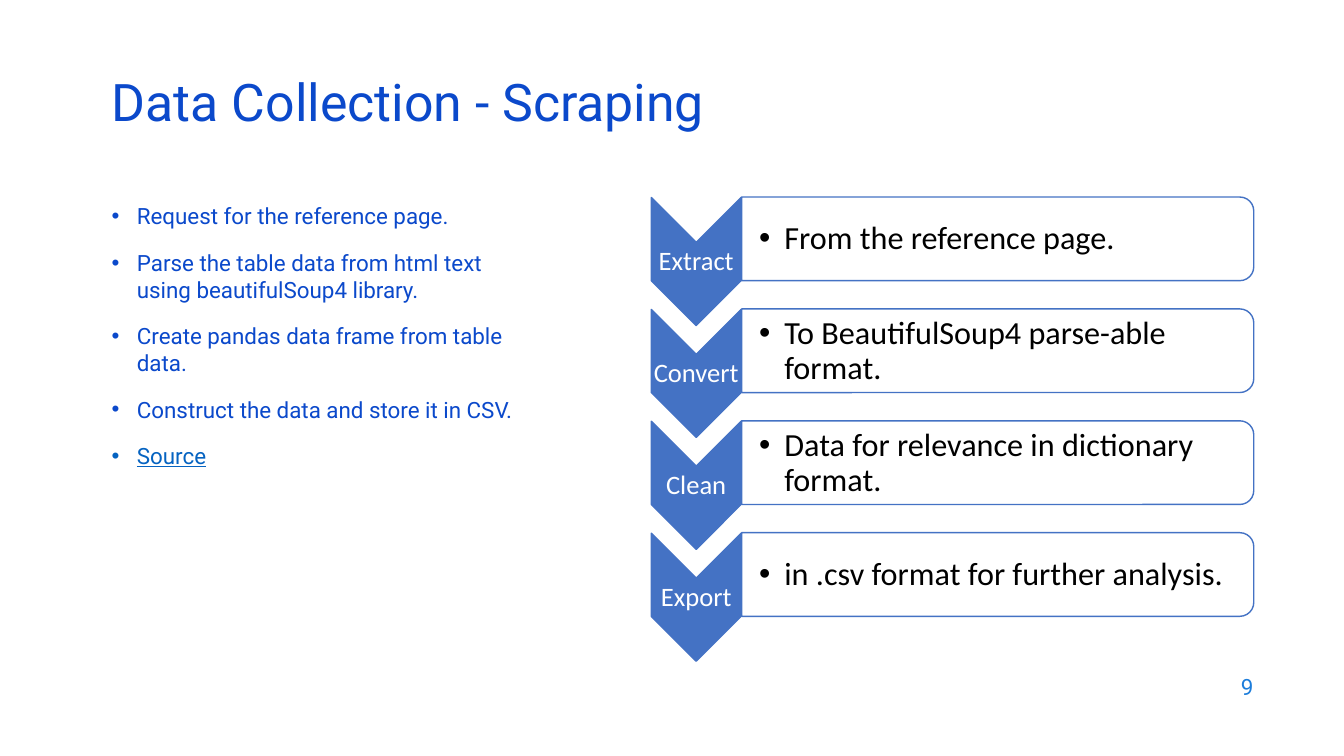
from lxml.etree import SubElement
from pptx import Presentation
from pptx.dml.color import RGBColor
from pptx.enum.shapes import MSO_SHAPE
from pptx.enum.text import MSO_ANCHOR, MSO_AUTO_SIZE, PP_ALIGN
from pptx.oxml.ns import qn
from pptx.util import Inches, Pt

TITLE_BLUE = RGBColor(0x0B, 0x49, 0xCB)
LINK_BLUE = RGBColor(0x05, 0x63, 0xC1)
NUMBER_BLUE = RGBColor(0x1C, 0x7D, 0xDB)
STEP_BLUE = RGBColor(0x44, 0x72, 0xC4)
WHITE = RGBColor(0xFF, 0xFF, 0xFF)
BLACK = RGBColor(0, 0, 0)


def format_paragraph(paragraph, font_name, size, color, bullet=False):
    if bullet:
        properties = paragraph._p.get_or_add_pPr()
        properties.set("marL", str(Inches(0.25)))
        properties.set("indent", str(-Inches(0.25)))
        SubElement(properties, qn("a:buFont"), typeface="Arial")
        SubElement(properties, qn("a:buChar"), char="•")
    for run in paragraph.runs:
        run.font.name = font_name
        run.font.size = Pt(size)
        run.font.color.rgb = color


def add_text(left, top, width, height, text, margins=(0.1, 0.05, 0.1, 0.05)):
    box = slide.shapes.add_textbox(Inches(left), Inches(top), Inches(width), Inches(height))
    frame = box.text_frame
    frame.word_wrap = True
    frame.vertical_anchor = MSO_ANCHOR.MIDDLE
    frame.margin_left, frame.margin_top, frame.margin_right, frame.margin_bottom = map(Inches, margins)
    frame.text = text
    return frame


presentation = Presentation()
presentation.slide_width = Inches(13.33)
presentation.slide_height = Inches(7.5)
slide = presentation.slides.add_slide(presentation.slide_layouts[5])

# Title
title = slide.shapes.title
title.left, title.top, title.width, title.height = map(Inches, (1.01, 0.76, 11.5, 0.6))
title.text_frame.text = "Data Collection - Scraping"
title.text_frame.auto_size = MSO_AUTO_SIZE.NONE
title.text_frame.vertical_anchor = MSO_ANCHOR.MIDDLE
title_paragraph = title.text_frame.paragraphs[0]
title_paragraph.alignment = PP_ALIGN.LEFT
title_paragraph.line_spacing = 0.8
format_paragraph(title_paragraph, "Roboto", 37, TITLE_BLUE)

# Bullet list, ending with the link-styled line
notes = [
    "Request for the reference page.",
    "Parse the table data from html text using beautifulSoup4 library.",
    "Create pandas data frame from table data.",
    "Construct the data and store it in CSV.",
    "Source",
]
bullet_frame = add_text(1.01, 1.96, 4.3, 4.72, "\n".join(notes))
bullet_frame.vertical_anchor = MSO_ANCHOR.TOP
for index, paragraph in enumerate(bullet_frame.paragraphs):
    if index > 0:
        paragraph.space_before = Pt(14)
    format_paragraph(paragraph, "Roboto", 16, TITLE_BLUE, bullet=True)
link_font = bullet_frame.paragraphs[-1].runs[0].font
link_font.color.rgb = LINK_BLUE
link_font.underline = True

# Process steps: a downward chevron and a rounded panel in each row
steps = [
    ("Extract", "From the reference page."),
    ("Convert", "To BeautifulSoup4 parse-able format."),
    ("Clean", "Data for relevance in dictionary format."),
    ("Export", "in .csv format for further analysis."),
]
STEP_PITCH = 1.11
for row, (label, description) in enumerate(steps):
    offset = row * STEP_PITCH
    for kind, left, top, width, height, fill in (
        (MSO_SHAPE.CHEVRON, 6.27, 2.15, 1.27, 0.89, STEP_BLUE),
        (MSO_SHAPE.ROUND_2_SAME_RECTANGLE, 9.48, -0.17, 0.83, 5.08, WHITE),
    ):
        shape = slide.shapes.add_shape(
            kind, Inches(left), Inches(top + offset), Inches(width), Inches(height))
        shape.rotation = 90
        shape.shadow.inherit = False
        shape.fill.solid()
        shape.fill.fore_color.rgb = fill
        shape.line.color.rgb = STEP_BLUE
        shape.line.width = Pt(1)

    label_frame = add_text(6.46, 2.41 + offset, 0.89, 0.38, label, (0.01, 0.01, 0.01, 0.01))
    label_paragraph = label_frame.paragraphs[0]
    label_paragraph.alignment = PP_ALIGN.CENTER
    label_paragraph.line_spacing = 0.9
    format_paragraph(label_paragraph, "Calibri", 19, WHITE)

    description_frame = add_text(7.35, 2 + offset, 5.04, 0.75, description, (0.18, 0.02, 0.02, 0.02))
    description_paragraph = description_frame.paragraphs[0]
    description_paragraph.line_spacing = 0.9
    format_paragraph(description_paragraph, "Calibri", 23, BLACK, bullet=True)

# Slide number
number_paragraph = add_text(9.53, 6.59, 3, 0.44, "9").paragraphs[0]
number_paragraph.alignment = PP_ALIGN.RIGHT
format_paragraph(number_paragraph, "Roboto", 16, NUMBER_BLUE)

presentation.save("out.pptx")
